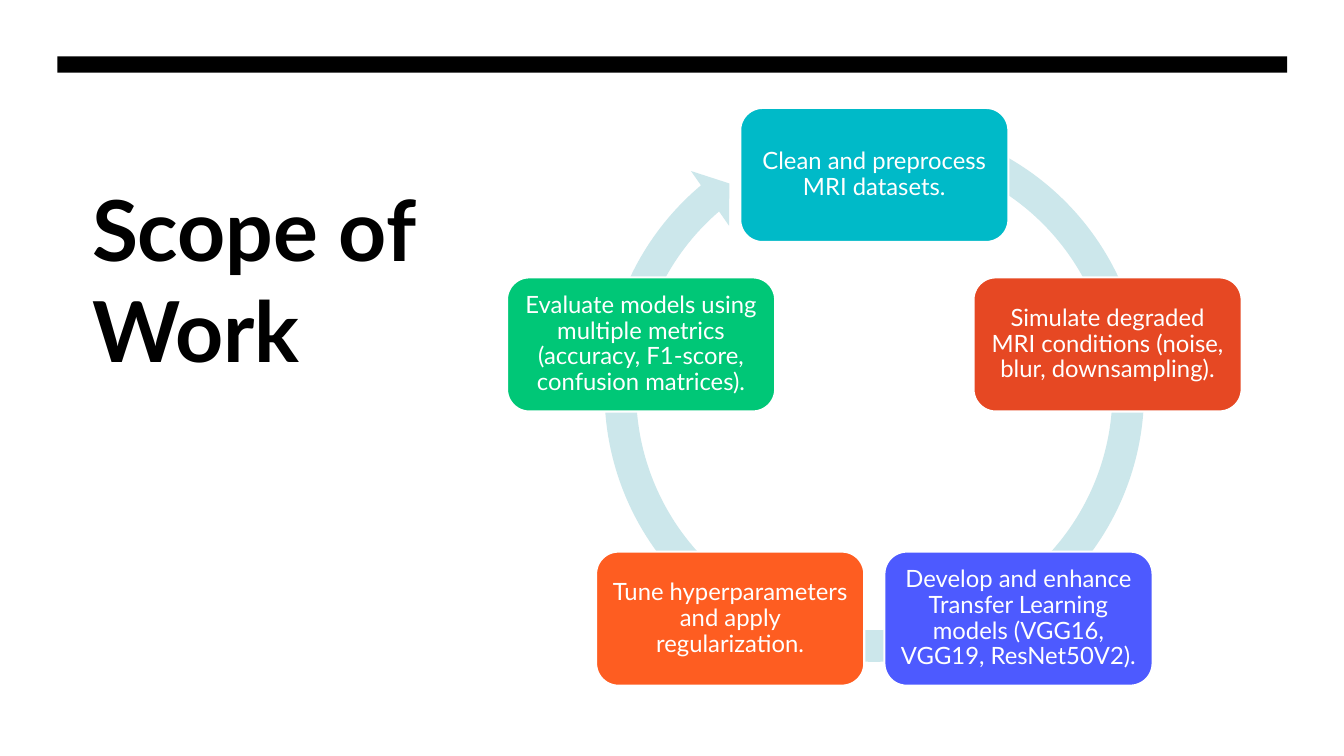
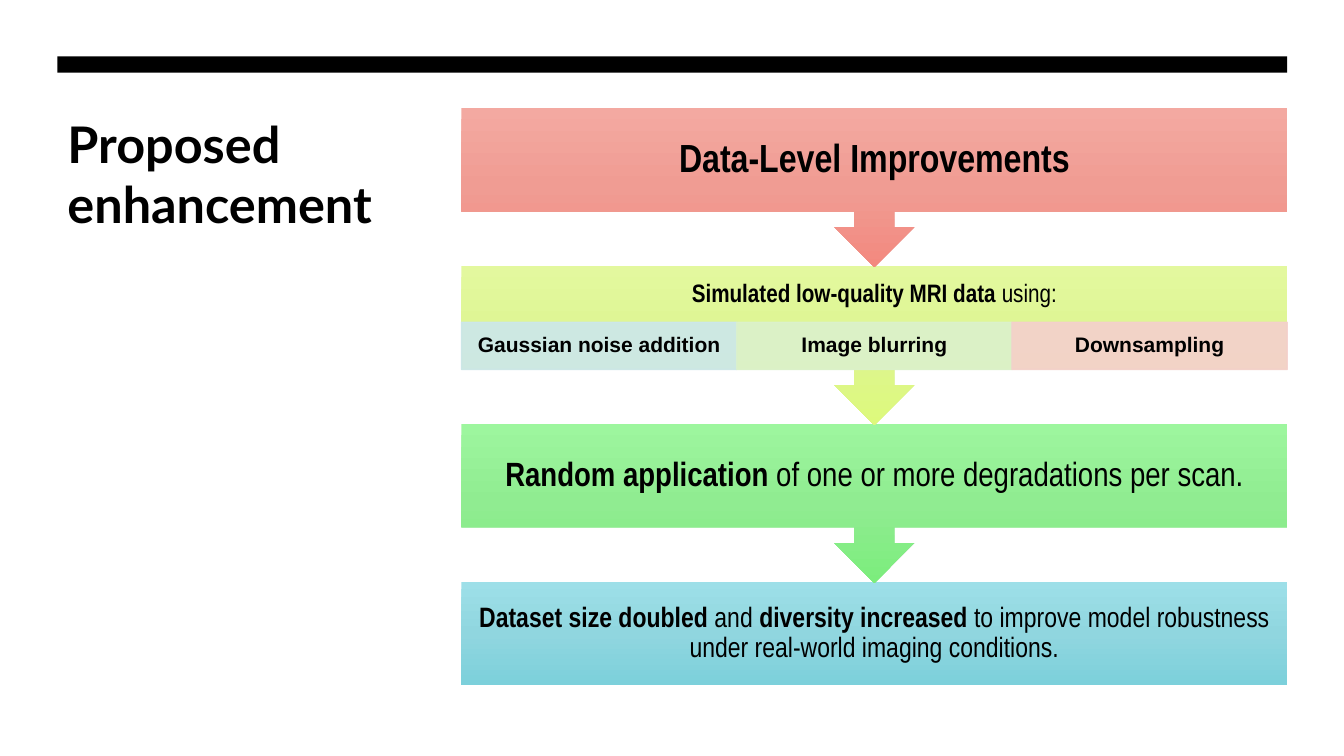
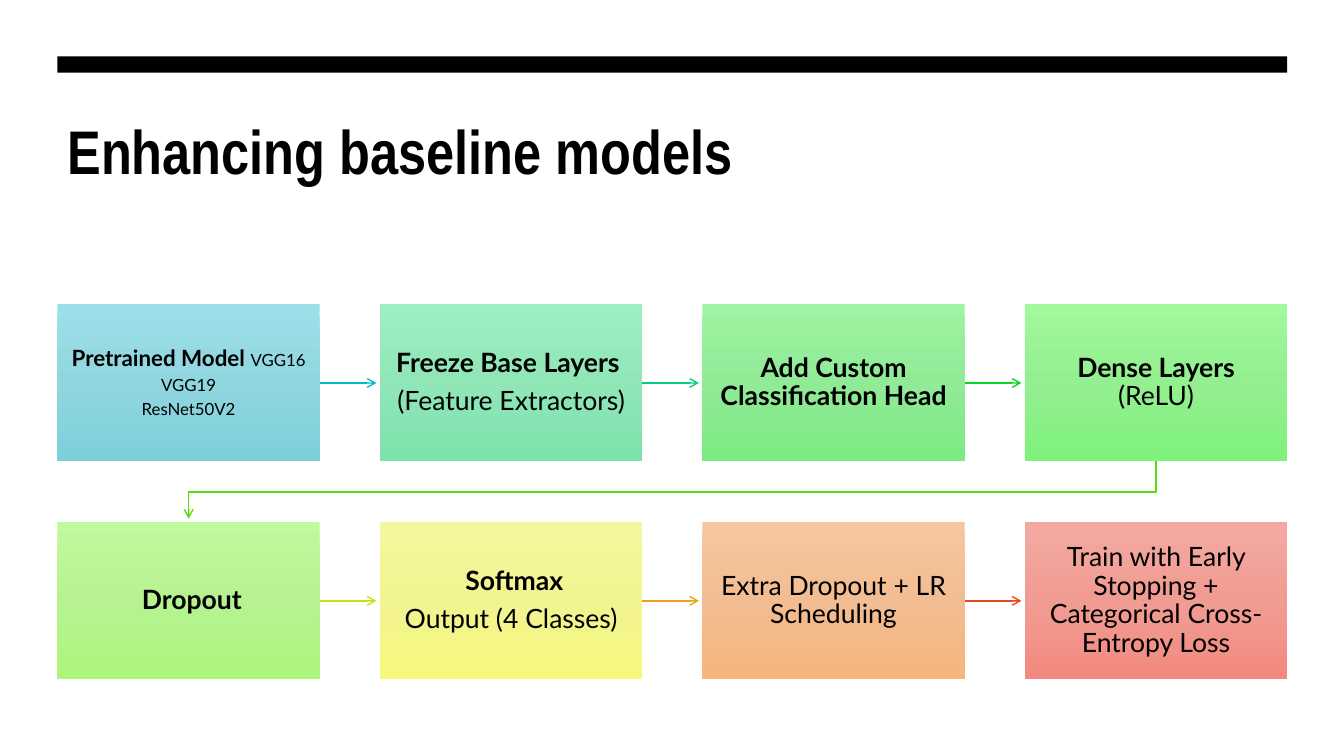
import copy
import math

import pptx
import pptx.dml.color
import pptx.enum.shapes
import pptx.enum.text
import pptx.oxml.ns
import pptx.util
from lxml import etree

Cm = pptx.util.Cm
Pt = pptx.util.Pt
SHAPES = pptx.enum.shapes.MSO_SHAPE
qn = pptx.oxml.ns.qn

# Shared look: lengths in cm, boxes as (left, top, width, height)
BLACK, WHITE, PALE = "000000", "FFFFFF", "CCE7EB"
PAGE = (0, 0, 33.87, 19.05)
BAR = (1.45, 1.42, 30.99, 0.41)
PANEL = (11.63, 2.72, 20.81, 14.55)
FLOW = (1.45, 7.67, 30.99, 9.45)
GRADIENTS = {
    "cyan": ("9DDFE8", "90D6DF", "7CD0DB"),
    "mint": ("9DEFC2", "90E6B7", "7CE3AD"),
    "green": ("9DF4A2", "90EA96", "7CEB83"),
    "bright green": ("9DF69E", "90EC91", "7CED7D"),
    "leaf": ("A0F99D", "93EF90", "7FF27C"),
    "lime": ("C0F99E", "B6F390", "ACF67C"),
    "yellow green": ("E3F89E", "DDF591", "DDF97C"),
    "yellow": ("F5F79E", "F2F491", "F6F87C"),
    "orange": ("F5C6A0", "F2BD92", "F5B57D"),
    "red": ("F3A9A1", "F09C93", "F3897F"),
}


def color(value):
    return pptx.dml.color.RGBColor.from_string(value)


def add_box(page, kind, box, fill):
    shape = page.shapes.add_shape(kind, *map(Cm, box))
    shape.shadow.inherit = False
    shape.line.fill.background()
    if fill in GRADIENTS:
        fill_gradient(shape, GRADIENTS[fill])
    else:
        shape.fill.solid()
        shape.fill.fore_color.rgb = color(fill)
    return shape


def fill_gradient(shape, colors):
    """Fill from top to bottom with three evenly spaced colours."""
    shape.fill.gradient()
    shape.fill.gradient_angle = 270
    stops = shape._element.spPr.find(qn("a:gradFill")).find(qn("a:gsLst"))
    stops.insert(1, copy.deepcopy(stops[0]))
    for stop, position, value in zip(shape.fill.gradient_stops, (0, 0.5, 1), colors):
        stop.position = position
        stop.color.rgb = color(value)


def set_line(shape, value, width):
    shape.line.color.rgb = color(value)
    shape.line.width = Pt(width)


def set_opacity(shape, percent):
    for tint in shape._element.spPr.iter(qn("a:srgbClr")):
        etree.SubElement(tint, qn("a:alpha"), val=str(percent * 1000))


def add_arrowhead(shape):
    line = shape._element.spPr.find(qn("a:ln"))
    etree.SubElement(line, qn("a:tailEnd"), type="arrow")


def write_text(shape, paras, size, font="Lato", tint=BLACK, insets=(0.33,) * 4):
    """Centre paragraphs, each a list of (text, bold) or (text, bold, size) spans.

    Insets run left, top, right, bottom.
    """
    frame = shape.text_frame
    frame.word_wrap = True
    frame.vertical_anchor = pptx.enum.text.MSO_ANCHOR.MIDDLE
    (frame.margin_left, frame.margin_top,
     frame.margin_right, frame.margin_bottom) = map(Cm, insets)
    for index, spans in enumerate(paras):
        para = frame.paragraphs[0] if index == 0 else frame.add_paragraph()
        para.alignment = pptx.enum.text.PP_ALIGN.CENTER
        para.line_spacing = 0.9
        last_size = spans[-1][2] if len(spans[-1]) > 2 else size
        if index < len(paras) - 1:
            para.space_after = Pt(round(0.35 * last_size, 1))
        para.font.name = font
        para.font.color.rgb = color(tint)
        para.font.size = Pt(last_size if len(spans) == 1 else size)
        para.font.bold = spans[0][1]
        for text, bold, *own_size in spans:
            span = para.add_run()
            span.text = text
            if len(spans) > 1:
                span.font.bold = bold
                if own_size:
                    span.font.size = Pt(own_size[0])


def add_page(deck, title, box, size, font="Lato"):
    """Blank page with the shared backdrop, top bar and a bold title."""
    page = deck.slides.add_slide(deck.slide_layouts[6])
    add_box(page, SHAPES.RECTANGLE, PAGE, WHITE)
    add_box(page, SHAPES.RECTANGLE, BAR, BLACK)
    frame = page.shapes.add_textbox(*map(Cm, box)).text_frame
    frame.word_wrap = True
    para = frame.paragraphs[0]
    para.text = title
    para.font.name = font
    para.font.size = Pt(size)
    para.font.bold = True
    para.font.color.rgb = color(BLACK)
    return page


def add_cycle(page, box, steps):
    """Steps spaced evenly clockwise on a circle, over a ring arrow."""
    left, top, width, _ = box
    step_width, step_height, radius, ring_size = 6.76, 3.38, 6.18, 14.48
    center_x = left + width / 2
    center_y = top + step_height / 2 + radius

    ring_box = (center_x - ring_size / 2, top - 0.08, ring_size, ring_size)
    ring = add_box(page, SHAPES.CIRCULAR_ARROW, ring_box, PALE)
    for index, value in enumerate((0.055, 3.307, 137.811, 173.828, 0.058)):
        ring.adjustments[index] = value

    for index, (text, fill) in enumerate(steps):
        angle = math.tau * index / len(steps)
        step_box = (center_x + radius * math.sin(angle) - step_width / 2,
                    center_y - radius * math.cos(angle) - step_height / 2,
                    step_width, step_height)
        step = add_box(page, SHAPES.ROUNDED_RECTANGLE, step_box, fill)
        set_line(step, WHITE, 1.5)
        write_text(step, [[(text, False)]], 17, tint=WHITE, insets=(0.17,) * 4)


def add_cascade(page, box, stages, cells, cells_row):
    """Stacked bands with down arrows; one band carries a row of cells."""
    left, top, width, height = box
    band_height, cell_height = 2.61, 1.19
    pitch = (height - band_height) / (len(stages) - 1)

    # Bands, from the bottom up so that each arrow tip lies on top
    for row, (spans, fill, size, inset) in reversed(list(enumerate(stages))):
        last = row == len(stages) - 1
        kind = SHAPES.RECTANGLE if last else SHAPES.DOWN_ARROW_CALLOUT
        band_box = (left, top + row * pitch, width, band_height if last else 4.01)
        band = add_box(page, kind, band_box, fill)
        bottom = inset + (cell_height if row == cells_row else 0)
        write_text(band, [spans], size, "Arial Narrow",
                   insets=(inset, inset, inset, bottom))

    # Cells along the lower edge of their band
    cell_width = width / len(cells)
    cell_top = top + cells_row * pitch + band_height - cell_height
    for column, (text, fill) in enumerate(cells):
        cell_box = (left + column * cell_width, cell_top, cell_width, cell_height)
        cell = add_box(page, SHAPES.RECTANGLE, cell_box, fill)
        set_line(cell, fill, 1)
        set_opacity(cell, 90)
        write_text(cell, [[(text, True)]], 15, "Arial", insets=(0.3, 0.05, 0.3, 0.05))


def add_flow(page, box, steps, arrow_colors, columns=4):
    """Grid of steps read row by row, each joined to the next by an arrow."""
    left, top, width, height = box
    step_width, step_height, clearance = 6.61, 3.96, 0.09
    column_pitch = (width - step_width) / (columns - 1)
    row_pitch = height - step_height
    boxes = []
    for index, (paras, fill, size) in enumerate(steps):
        row, column = divmod(index, columns)
        step_box = (left + column * column_pitch, top + row * row_pitch,
                    step_width, step_height)
        boxes.append(add_box(page, SHAPES.RECTANGLE, step_box, fill))
        write_text(boxes[-1], paras, size)

    for start, end, value in zip(boxes, boxes[1:], arrow_colors):
        if start.top == end.top:
            middle = start.top + start.height // 2
            arrow = page.shapes.add_connector(
                pptx.enum.shapes.MSO_CONNECTOR.STRAIGHT,
                start.left + start.width, middle, end.left - Cm(clearance), middle)
            arrow.begin_connect(start, 3)
            set_line(arrow, value, 1)
            etree.SubElement(arrow._element.spPr, qn("a:effectLst"))
        else:
            # Bent arrow from the end of one row to the start of the next
            start_x, end_x = (step.left + step.width // 2 for step in (start, end))
            start_y = start.top + start.height
            turn_y = (start_y + end.top) // 2
            outline = page.shapes.build_freeform(start_x, start_y)
            outline.add_line_segments(
                [(start_x, turn_y), (end_x, turn_y), (end_x, end.top - Cm(clearance))],
                close=False)
            arrow = outline.convert_to_shape()
            arrow.fill.background()
            set_line(arrow, value, 1)
            arrow.shadow.inherit = False
        add_arrowhead(arrow)


def main():
    deck = pptx.Presentation()
    deck.slide_width, deck.slide_height = map(Cm, PAGE[2:])

    # Scope
    page = add_page(deck, "Scope of Work", (2.07, 4.35, 10.87, 11.3), 60)
    add_cycle(page, PANEL, [
        ("Clean and preprocess MRI datasets.", "00BAC8"),
        ("Simulate degraded MRI conditions (noise, blur, downsampling).", "E64823"),
        ("Develop and enhance Transfer Learning models (VGG16, VGG19, ResNet50V2).",
         "4D5AFF"),
        ("Tune hyperparameters and apply regularization.", "FE5D21"),
        ("Evaluate models using multiple metrics (accuracy, F1-score, "
         "confusion matrices).", "00C777"),
    ])

    # Data enhancement
    page = add_page(deck, "Proposed enhancement", (1.45, 2.72, 8.76, 3.63), 36)
    add_cascade(page, PANEL, [
        ([("Data-Level Improvements", True)], "red", 28, 0.55),
        ([("Simulated low-quality MRI data", True), (" using:", False)],
         "yellow green", 18, 0.36),
        ([("Random application", True),
          (" of one or more degradations per scan.", False)],
         "bright green", 24, 0.47),
        ([("Dataset size doubled", True), (" and ", False),
          ("diversity increased", True),
          (" to improve model robustness under real-world imaging conditions.", False)],
         "cyan", 20, 0.4),
    ], [
        ("Gaussian noise addition", PALE),
        ("Image blurring", "DBF1CC"),
        ("Downsampling", "F5D0CD"),
    ], cells_row=1)

    # Model pipeline
    page = add_page(deck, "Enhancing baseline models", (1.45, 2.72, 30.99, 4.06), 44,
                    "Arial Narrow")
    add_flow(page, FLOW, [
        ([[("Pretrained Model ", True), ("VGG16", False, 12)],
          [("VGG19", False, 12)], [("ResNet50V2", False, 12)]], "cyan", 16),
        ([[("Freeze Base Layers ", True)], [("(Feature Extractors)", False)]], "mint", 19),
        ([[("Add Custom Classification Head", True)]], "green", 19),
        ([[("Dense Layers ", True), ("(ReLU)", False)]], "leaf", 19),
        ([[(" Dropout", True)]], "lime", 19),
        ([[(" Softmax", True)], [("Output (4 Classes)", False)]], "yellow", 19),
        ([[("Extra Dropout + LR Scheduling", False)]], "orange", 19),
        ([[("Train with Early Stopping + Categorical Cross-Entropy Loss", False)]],
         "red", 19),
    ], ["00BAC8", "04CF7C", "08D61E", "59DD0C", "C3E311", "E9A316", "E64823"])

    deck.save("out.pptx")


if __name__ == "__main__":
    main()
